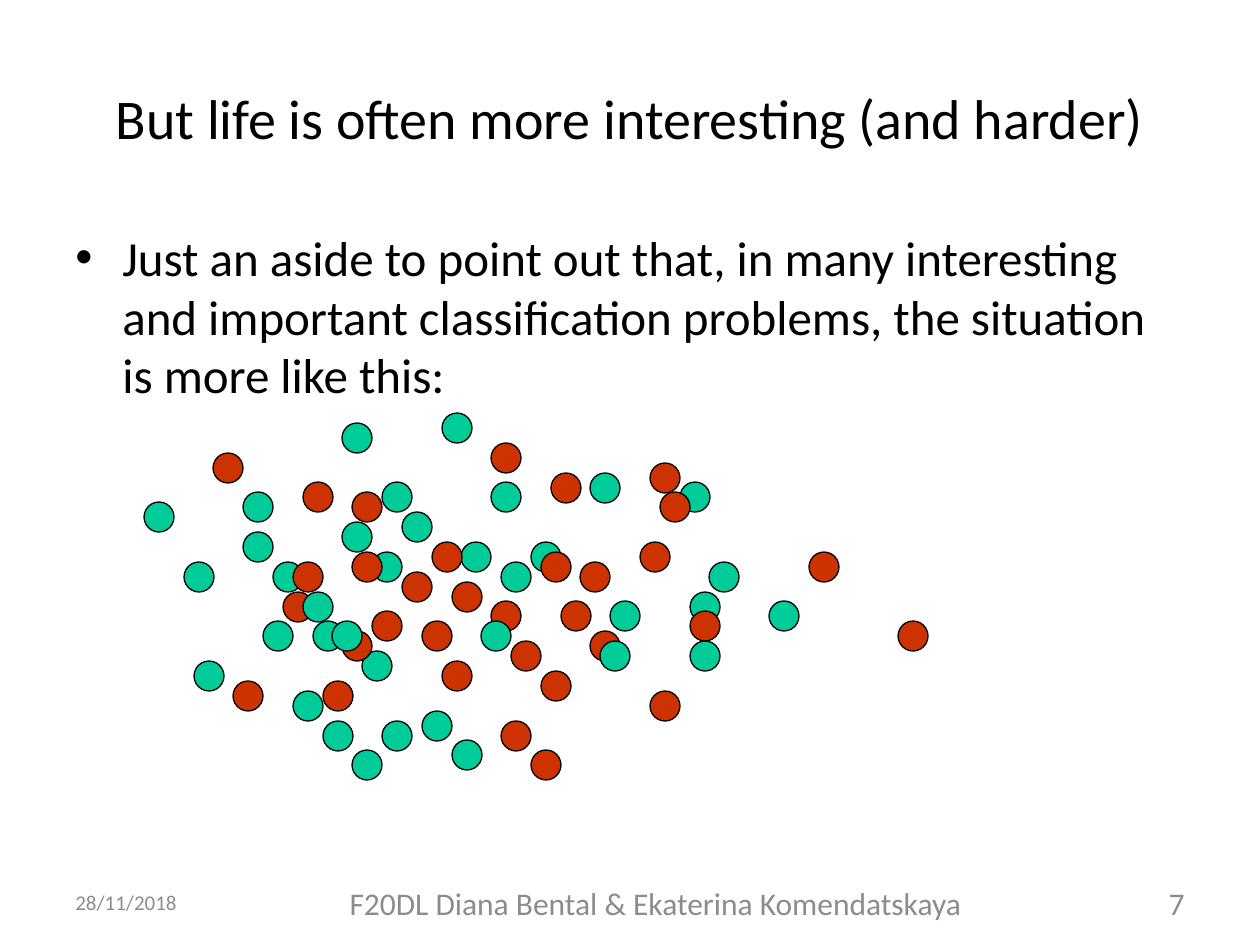
from lxml import etree
from pptx import Presentation
from pptx import util as u
from pptx.dml.color import RGBColor
from pptx.enum import shapes, text
from pptx.oxml import ns

BLACK = RGBColor(0x00, 0x00, 0x00)
GREY = RGBColor(0x8C, 0x8C, 0x8C)
TEAL = RGBColor(0x00, 0xCC, 0x99)
RED = RGBColor(0xCC, 0x33, 0x00)

FONT = "Calibri"
DOT = 30
LEFT, TOP = 144, 413
STEP = 9.92
LEVEL, MID = text.MSO_ANCHOR.TOP, text.MSO_ANCHOR.MIDDLE
ALIGN = text.PP_ALIGN

LAYERS = [
    (TEAL, [
        (10, 12), (26, 10), (20, 11), (24, 31), (15, 28), (22, 24),
        (13, 15), (23, 14), (17, 21), (18, 31), (55, 18), (35, 7),
        (45, 6), (39, 13), (47, 19), (0, 9), (10, 8), (4, 15),
        (5, 25), (12, 21), (36, 15), (63, 19), (21, 34), (28, 30),
        (20, 1), (30, 0), (24, 7), (54, 7), (32, 13), (55, 23),
        (57, 15), (31, 33),
    ]),
    (RED, [
        (23, 20), (31, 17), (30, 25), (42, 19), (29, 13), (28, 21),
        (35, 3), (14, 18), (45, 22), (51, 5), (50, 13), (9, 27),
        (55, 20), (67, 14), (16, 7), (15, 15), (21, 14), (20, 22),
        (21, 8), (26, 16), (44, 15), (37, 23), (36, 31), (76, 21),
        (18, 27), (41, 6), (40, 14), (52, 8), (35, 19), (7, 4),
        (40, 26), (39, 34), (51, 28),
    ]),
    (TEAL, [(46, 23), (16, 18), (19, 21), (34, 21)]),
]


def px(n):
    return u.Emu(round(n * 914400 / 126))


def add_text(slide, box, words, size, color, align=ALIGN.LEFT, anchor=MID):
    frame = slide.shapes.add_textbox(*map(px, box)).text_frame
    frame.word_wrap = True
    frame.vertical_anchor = anchor
    para = frame.paragraphs[0]
    para.alignment = align
    run = para.add_run()
    run.text = words
    run.font.name = FONT
    run.font.size = u.Pt(size)
    run.font.color.rgb = color
    return para


def add_bullet(para, indent):
    props = para._p.get_or_add_pPr()
    props.set("marL", str(px(indent)))
    props.set("indent", str(-px(indent)))
    face = etree.SubElement(props, ns.qn("a:buFont"))
    face.set("typeface", "Arial")
    mark = etree.SubElement(props, ns.qn("a:buChar"))
    mark.set("char", "•")


def add_dot(group, col, row, color):
    x, y = LEFT + round(col * STEP), TOP + round(row * STEP)
    dot = group.shapes.add_shape(
        shapes.MSO_SHAPE.OVAL, px(x), px(y), px(DOT), px(DOT))
    dot.shadow.inherit = False
    dot.fill.solid()
    dot.fill.fore_color.rgb = color
    dot.line.color.rgb = BLACK
    dot.line.width = u.Pt(0.75)


def add_cloud(slide):
    group = slide.shapes.add_group_shape()
    for color, cells in LAYERS:
        for col, row in cells:
            add_dot(group, col, row, color)


def main():
    deck = Presentation()
    deck.slide_width, deck.slide_height = px(1260), px(945)
    slide = deck.slides.add_slide(deck.slide_layouts[6])
    add_text(slide, (63, 38, 1134, 158),
             "But life is often more interesting (and harder)",
             32, BLACK, ALIGN.CENTER)
    body = add_text(slide, (63, 221, 1134, 624),
                    "Just an aside to point out that, in many interesting "
                    "and important classification problems, the situation "
                    "is more like this:", 28, BLACK, anchor=LEVEL)
    add_bullet(body, 47)
    add_text(slide, (63, 876, 150, 53), "28/11/2018", 12, GREY)
    add_text(slide, (234, 879, 843, 47),
             "F20DL Diana Bental & Ekaterina Komendatskaya",
             18, GREY, ALIGN.CENTER)
    add_text(slide, (1106, 879, 91, 47), "7", 18, GREY, ALIGN.RIGHT)
    add_cloud(slide)
    deck.save("out.pptx")


if __name__ == "__main__":
    main()
